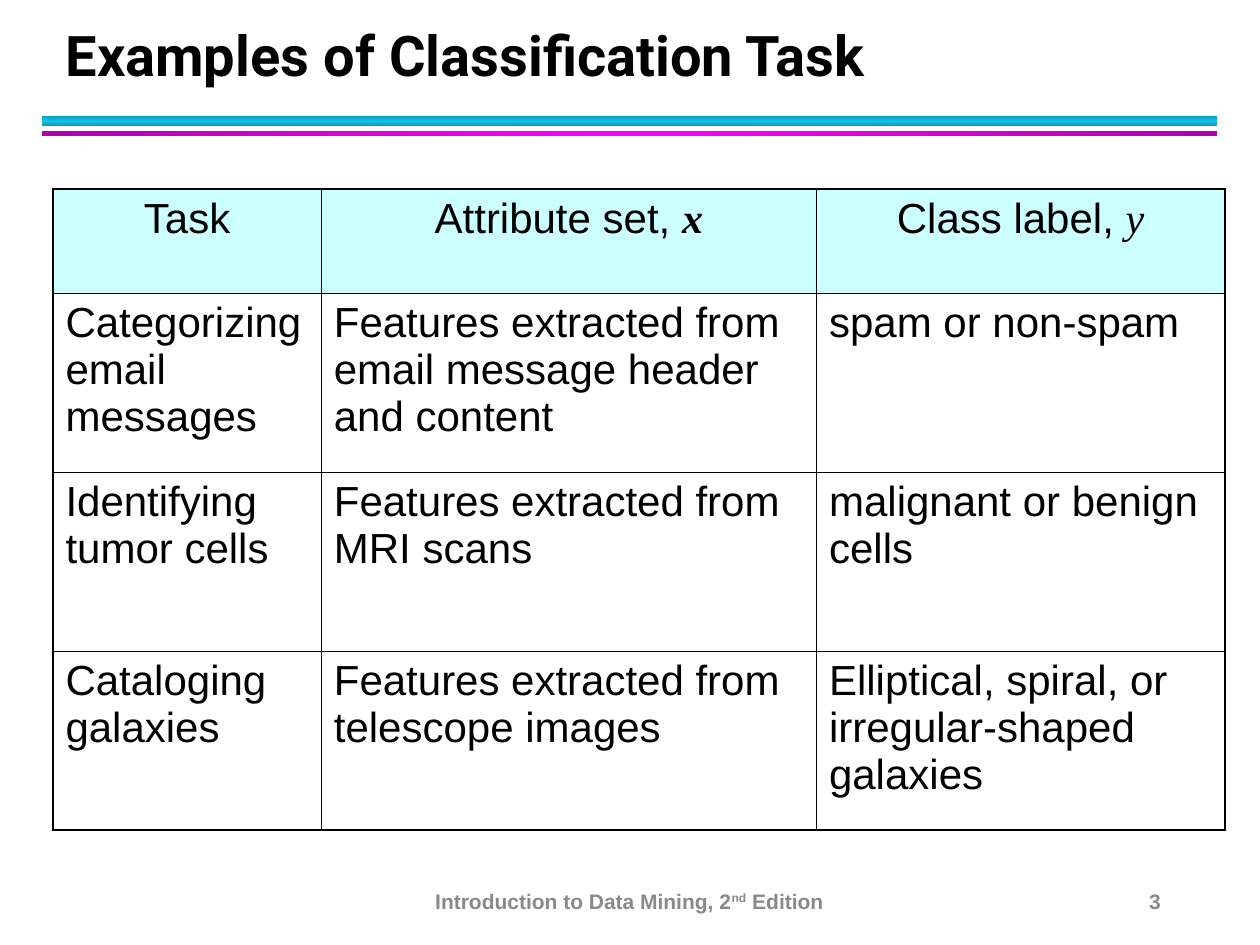
from lxml import etree
from pptx import Presentation
from pptx import util as u
from pptx.dml.color import RGBColor
from pptx.enum import shapes, text
from pptx.oxml import ns

TITLE = "Examples of Classification Task"
BARS = [  # top, height, edge colour, middle colour, angle
    (0.92, 0.08, "0E9BBA", "12C2E9", 90),
    (1.04, 0.04, "B200B2", "FF00FF", 180),
]
COLS = [2.13, 3.93, 3.24]
ROWS = [0.83, 1.42, 1.42, 1.42]
SYM = {"name": "Times New Roman", "italic": True}
HEAD = [
    [("Task", {})],
    [("Attribute set, ", {}), ("x", {**SYM, "bold": True})],
    [("Class label, ", {}), ("y", SYM)],
]
BODY = [
    ("Categorizing email messages",
     "Features extracted from email message header and content",
     "spam or non-spam"),
    ("Identifying tumor cells",
     "Features extracted from MRI scans",
     "malignant or benign cells"),
    ("Cataloging galaxies",
     "Features extracted from telescope images",
     "Elliptical, spiral, or irregular-shaped galaxies"),
]
GRID = [HEAD] + [[[(words, {})] for words in row] for row in BODY]
NOTES = [  # left, width, alignment, runs
    (3.31, 3.37, "CENTER", [("Introduction to Data Mining, 2", 0),
                            ("nd", 30000), (" Edition", 0)]),
    (7.06, 2.25, "RIGHT", [("3", 0)]),
]
CELL = {"name": "Arial", "size": u.Pt(24), "bold": False, "italic": False}
NOTE = {"name": "Arial", "size": u.Pt(12), "bold": True}
THIN, THICK = 0.45, 1.08


def rgb(code):
    return RGBColor.from_string(code)


def style(font, fmt, color="000000"):
    for key, val in fmt.items():
        setattr(font, key, val)
    font.color.rgb = rgb(color)


def box(*nums):
    return [u.Inches(n) for n in nums]


def add_bar(slide, top, height, edge, mid, angle):
    bar = slide.shapes.add_shape(shapes.MSO_SHAPE.RECTANGLE,
                                 *box(0.33, top, 9.33, height))
    bar.shadow.inherit = False
    bar.line.fill.background()
    bar.fill.gradient()
    bar.fill.gradient_angle = angle
    stops = bar._element.spPr.find(".//" + ns.qn("a:gsLst"))
    for stop in list(stops):
        stops.remove(stop)
    for pos, code in ((0, edge), (50000, mid), (100000, edge)):
        stop = etree.SubElement(stops, ns.qn("a:gs"), pos=str(pos))
        etree.SubElement(stop, ns.qn("a:srgbClr"), val=code)


def add_edges(cell, widths):
    """Draw cell borders; widths maps L, R, T and B to points."""
    props = cell._tc.get_or_add_tcPr()
    for i, (side, width) in enumerate(widths.items()):
        line = etree.Element(ns.qn("a:ln" + side), w=str(u.Pt(width)))
        fill = etree.SubElement(line, ns.qn("a:solidFill"))
        etree.SubElement(fill, ns.qn("a:srgbClr"), val="000000")
        props.insert(i, line)


def add_grid(slide):
    rows, cols = len(ROWS), len(COLS)
    grid = slide.shapes.add_table(
        rows, cols, *box(0.42, 1.5, sum(COLS), sum(ROWS))).table
    for col, width in zip(grid.columns, COLS):
        col.width = u.Inches(width)
    for row, height in zip(grid.rows, ROWS):
        row.height = u.Inches(height)
    for r, row in enumerate(GRID):
        for c, runs in enumerate(row):
            cell = grid.cell(r, c)
            cell.fill.solid()
            cell.fill.fore_color.rgb = rgb("FFFFFF" if r else "CCFFFF")
            outer = {"L": c == 0, "R": c == cols - 1,
                     "T": r == 0, "B": r == rows - 1}
            add_edges(cell, {k: THICK if v else THIN for k, v in outer.items()})
            para = cell.text_frame.paragraphs[0]
            para.alignment = text.PP_ALIGN.LEFT if r else text.PP_ALIGN.CENTER
            para.space_before, para.space_after = u.Pt(3), u.Pt(4)
            for words, fmt in runs:
                run = para.add_run()
                run.text = words
                style(run.font, {**CELL, **fmt})


def add_note(slide, left, width, align, runs):
    frame = slide.shapes.add_textbox(*box(left, 6.95, width, 0.4)).text_frame
    frame.word_wrap = True
    frame.vertical_anchor = text.MSO_ANCHOR.MIDDLE
    para = frame.paragraphs[0]
    para.alignment = text.PP_ALIGN[align]
    for words, rise in runs:
        run = para.add_run()
        run.text = words
        style(run.font, NOTE, "898989")
        if rise:
            run.font._element.set("baseline", str(rise))


def set_title(title):
    title.left, title.top, title.width, title.height = box(0.42, 0.17, 9.06, 0.58)
    frame = title.text_frame
    frame.text = TITLE
    frame.word_wrap = True
    frame.auto_size = text.MSO_AUTO_SIZE.NONE
    frame.vertical_anchor = text.MSO_ANCHOR.BOTTOM
    para = frame.paragraphs[0]
    para.alignment = text.PP_ALIGN.LEFT
    para.line_spacing = u.Pt(36)
    style(para.runs[0].font, {"name": "Roboto", "size": u.Pt(32), "bold": True})


def main():
    deck = Presentation()
    deck.slide_width, deck.slide_height = box(10, 7.5)
    slide = deck.slides.add_slide(deck.slide_layouts[5])
    set_title(slide.shapes.title)
    for bar in BARS:
        add_bar(slide, *bar)
    add_grid(slide)
    for note in NOTES:
        add_note(slide, *note)
    deck.save("out.pptx")


if __name__ == "__main__":
    main()
